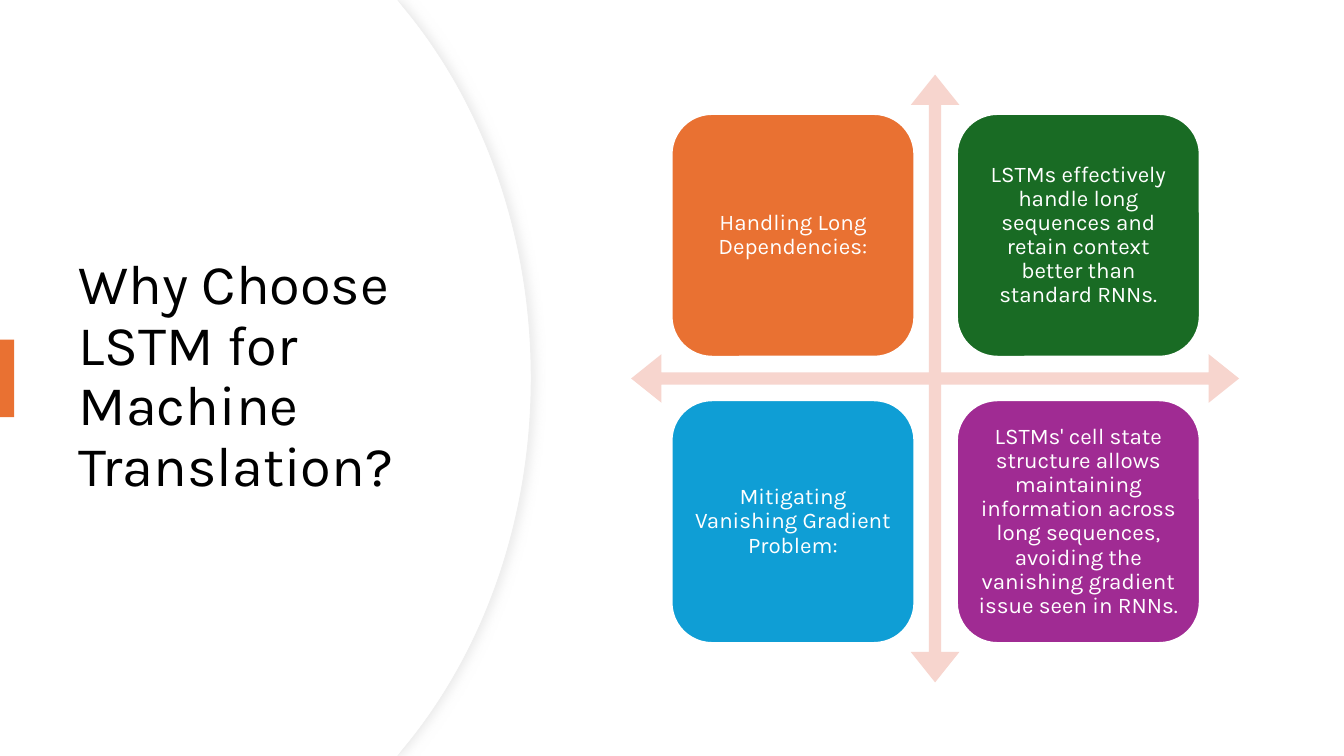
from lxml.etree import SubElement
from pptx import Presentation
from pptx.dml.color import RGBColor
from pptx.enum.shapes import MSO_SHAPE
from pptx.enum.text import MSO_ANCHOR, MSO_AUTO_SIZE, PP_ALIGN
from pptx.oxml.ns import qn
from pptx.util import Inches, Pt


def paint(shape, fill, line=None, width=0):
    shape.shadow.inherit = False
    shape.fill.solid()
    shape.fill.fore_color.rgb = RGBColor.from_string(fill)
    if line:
        shape.line.color.rgb = RGBColor.from_string(line)
        shape.line.width = Pt(width)
    else:
        shape.line.fill.background()


def write(shape, text, size, color, alignment, inset_x, inset_y):
    frame = shape.text_frame
    frame.text = text
    frame.word_wrap = True
    frame.auto_size = MSO_AUTO_SIZE.NONE
    frame.vertical_anchor = MSO_ANCHOR.MIDDLE
    frame.margin_left = frame.margin_right = Inches(inset_x)
    frame.margin_top = frame.margin_bottom = Inches(inset_y)
    paragraph = frame.paragraphs[0]
    paragraph.alignment = alignment
    paragraph.line_spacing = 0.9
    paragraph.font.name = "Karla"
    paragraph.font.size = Pt(size)
    paragraph.font.color.rgb = RGBColor.from_string(color)


presentation = Presentation()
presentation.slide_width = Inches(13.33)
presentation.slide_height = Inches(7.5)
slide = presentation.slides.add_slide(presentation.slide_layouts[5])
shapes = slide.shapes

panels = []
for right, line in ((527, "EFEFEF"), (526, None)):
    shoulder = right - 126
    builder = shapes.build_freeform(0, 0, scale=Inches(0.01))
    builder.add_line_segments([
        (394, 0), (shoulder, 8), (right, 375), (shoulder, 742), (394, 750), (0, 750)])
    panel = builder.convert_to_shape()
    paint(panel, "FFFFFF", line, 0.75)
    panels.append(panel)

    segments = list(panel.element.iter(qn("a:lnTo")))
    upper_controls = [(right - 48, 102), (right, 232)]
    lower_controls = [(right, 518), (right - 48, 648)]
    for segment, controls in zip(segments[2:4], (upper_controls, lower_controls)):
        curve = segment.makeelement(qn("a:cubicBezTo"))
        for x, y in controls:
            SubElement(curve, qn("a:pt"), x=str(x), y=str(y))
        curve.append(segment[0])
        segment.getparent().replace(segment, curve)

effects = panels[0].element.spPr.find(qn("a:effectLst"))
shadow = SubElement(effects, qn("a:outerShdw"), blurRad=str(Pt(7)), dist=str(Pt(3)),
                    dir="0", algn="l", rotWithShape="0")
shadow_color = SubElement(shadow, qn("a:srgbClr"), val="D9D9D9")
SubElement(shadow_color, qn("a:alpha"), val="50000")

title = shapes.title
title.left, title.top = Inches(0.68), Inches(1.27)
title.width, title.height = Inches(3.94), Inches(4.95)
write(title, "Why Choose LSTM for Machine Translation?", 40, "000000", PP_ALIGN.LEFT, 0.1, 0.05)
title.element.getparent().append(title.element)

accent = shapes.add_shape(MSO_SHAPE.RECTANGLE, 0, Inches(3.37), Inches(0.14), Inches(0.77))
paint(accent, "E97132")

arrows = shapes.add_shape(
    MSO_SHAPE.QUAD_ARROW, Inches(6.26), Inches(0.74), Inches(6.03), Inches(6.03))
for index, value in enumerate((0.02, 0.04, 0.05)):
    arrows.adjustments[index] = value
paint(arrows, "F7D5CE")

quadrants = (
    ("Handling Long Dependencies:", "E97132"),
    ("LSTMs effectively handle long sequences and retain context better than standard RNNs.",
     "196B24"),
    ("Mitigating Vanishing Gradient Problem:", "0F9ED5"),
    ("LSTMs' cell state structure allows maintaining information across long sequences, "
     "avoiding the vanishing gradient issue seen in RNNs.", "A02B93"),
)
for index, (text, color) in enumerate(quadrants):
    row, column = divmod(index, 2)
    card = shapes.add_shape(
        MSO_SHAPE.ROUNDED_RECTANGLE, Inches(6.66 + 2.83 * column),
        Inches(1.13 + 2.84 * row), Inches(2.41), Inches(2.41))
    paint(card, color, "FFFFFF", 1.5)
    write(card, text, 16, "FFFFFF", PP_ALIGN.CENTER, 0.07, 0.07)

presentation.save("out.pptx")
